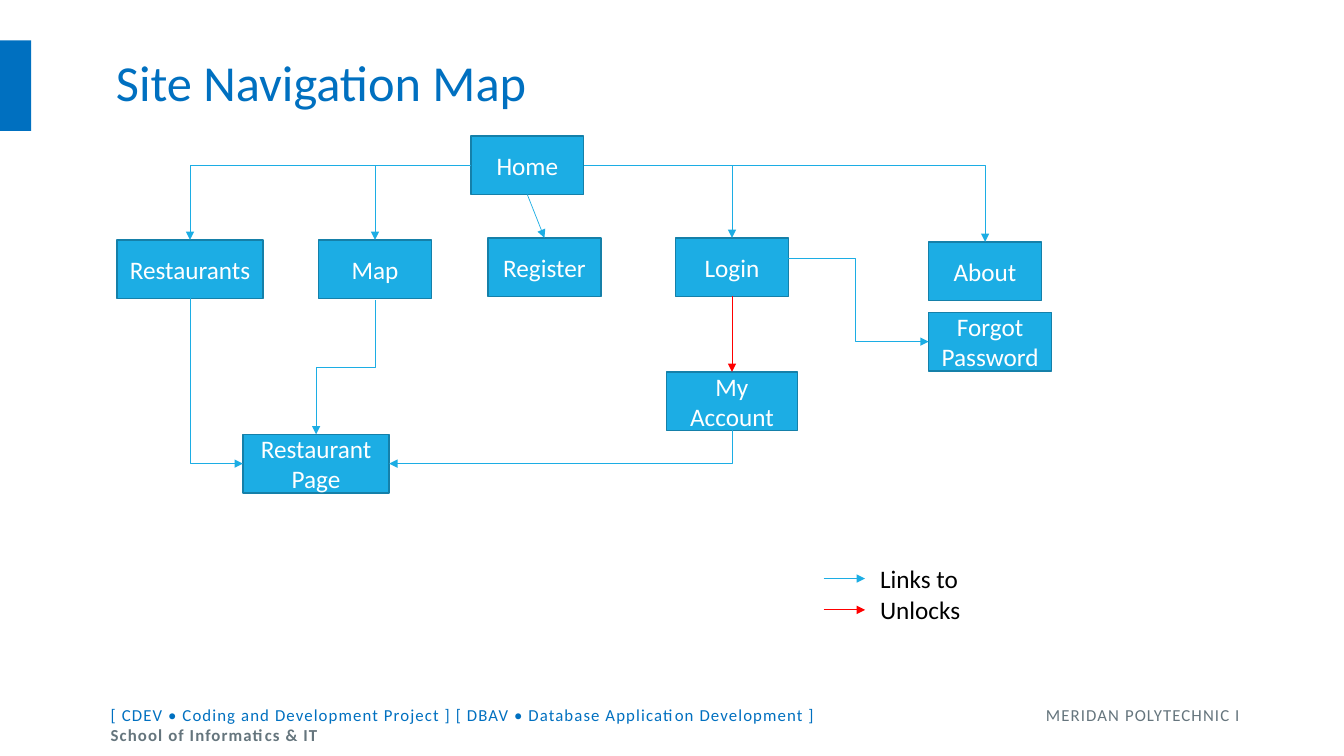
from dataclasses import dataclass

from pptx import Presentation
from pptx.dml.color import RGBColor
from pptx.enum.shapes import MSO_CONNECTOR, MSO_SHAPE
from pptx.enum.text import MSO_ANCHOR, MSO_AUTO_SIZE, PP_ALIGN
from pptx.oxml.ns import qn
from pptx.util import Emu, Pt
from lxml.etree import SubElement

TITLE = "Site Navigation Map"
FOOTER = [
    [("[ CDEV • Coding and Development Project ] [ DBAV • Database Application Development ]", "blue", False),
     ("\tMERIDAN POLYTECHNIC I", "grey", False)],
    [("School of Informatics & IT", "grey", True)],
]
BOX_H = 58
PAGES = {  # name: (label, left, top, width)
    "home": ("Home", 467, 135, 112),
    "restaurants": ("Restaurants", 116, 238, 145),
    "login": ("Login", 670, 236, 112),
    "register": ("Register", 484, 236, 112),
    "account": ("My Account", 661, 369, 130),
    "restaurant": ("Restaurant\vPage", 241, 431, 145),
    "forgot": ("Forgot Password", 921, 310, 122),
    "map": ("Map", 316, 238, 112),
    "about": ("About", 921, 240, 112),
}
LINKS = [  # from, side, to, side, route, colour, shift of the start
    ("login", "bottom", "account", "top", "line", "red", (0, 0)),
    ("home", "left", "restaurants", "top", "bentConnector2", "cyan", (0, 0)),
    ("home", "left", "map", "top", "bentConnector2", "cyan", (0, 0)),
    ("home", "bottom", "register", "top", "line", "cyan", (0, 0)),
    ("home", "right", "login", "top", "bentConnector2", "cyan", (0, 0)),
    ("home", "right", "about", "top", "bentConnector2", "cyan", (0, 0)),
    ("login", "right", "forgot", "left", "bentConnector3", "cyan", (-6, -9)),
    ("restaurants", "bottom", "restaurant", "left", "bentConnector2", "cyan", (0, 0)),
    ("map", "bottom", "restaurant", "top", "bentConnector3", "cyan", (0, 2)),
    ("account", "bottom", "restaurant", "right", "bentConnector2", "cyan", (0, 0)),
]
LEGEND = [("Links to", "cyan"), ("Unlocks", "red")]
LEGEND_TOP, LEGEND_STEP = 554, 31


@dataclass(frozen=True)
class Theme:
    font: str = "Calibri"
    blue: str = "0070C0"
    cyan: str = "1CADE4"
    edge: str = "1580A9"
    red: str = "FF0000"
    grey: str = "65757D"
    white: str = "FFFFFF"
    black: str = "000000"
    title_pt: int = 36
    body_pt: int = 18
    footer_pt: int = 12

    def rgb(self, name):
        return RGBColor.from_string(getattr(self, name))


THEME = Theme()


def px(n):
    """Lengths are on a grid of 100 px to the inch."""
    return Emu(round(n * 9144))


def style(r, size, color, bold=False):
    r.font.name, r.font.size, r.font.bold = THEME.font, Pt(size), bold
    r.font.color.rgb = THEME.rgb(color)


def add_rect(slide, left, top, width, height, fill, line=None):
    sp = slide.shapes.add_shape(MSO_SHAPE.RECTANGLE, *map(px, (left, top, width, height)))
    sp.shadow.inherit = False
    sp.fill.solid()
    sp.fill.fore_color.rgb = THEME.rgb(fill)
    if line:
        sp.line.color.rgb, sp.line.width = THEME.rgb(line), Pt(1)
    else:
        sp.line.fill.background()
    return sp


def add_page(slide, label, left, top, width):
    tf = add_rect(slide, left, top, width, BOX_H, "cyan", "edge").text_frame
    tf.text, tf.word_wrap, tf.vertical_anchor = label, True, MSO_ANCHOR.MIDDLE
    p = tf.paragraphs[0]
    p.alignment = PP_ALIGN.CENTER
    for r in p.runs:
        style(r, THEME.body_pt, "white")


def side_point(page, side):
    _, left, top, width = PAGES[page]
    return {
        "left": (left, top + BOX_H / 2),
        "right": (left + width, top + BOX_H / 2),
        "top": (left + width / 2, top),
        "bottom": (left + width / 2, top + BOX_H),
    }[side]


def add_arrow(slide, start, end, color, route="line", down_first=False):
    """Elbows leave sideways; down_first turns the frame so that they leave downwards."""
    (x1, y1), (x2, y2) = start, end
    rotation = 0
    if down_first and route != "line":
        cx, cy = (x1 + x2) / 2, (y1 + y2) / 2
        half_w, half_h = (y2 - y1) / 2, abs(x2 - x1) / 2
        rotation = 270 if x2 > x1 else 90
        if rotation == 270:
            half_w = -half_w
        x1, x2, y1, y2 = cx - half_w, cx + half_w, cy - half_h, cy + half_h
    kind = MSO_CONNECTOR.STRAIGHT if route == "line" else MSO_CONNECTOR.ELBOW
    c = slide.shapes.add_connector(kind, *map(px, (x1, y1, x2, y2)))
    c.line.color.rgb, c.line.width = THEME.rgb(color), Pt(0.5)
    sp_pr = c._element.spPr
    sp_pr.find(qn("a:prstGeom")).set("prst", route)
    if rotation:
        sp_pr.find(qn("a:xfrm")).set("rot", str(rotation * 60000))
    SubElement(sp_pr.find(qn("a:ln")), qn("a:tailEnd"), type="triangle")
    SubElement(sp_pr, qn("a:effectLst"))


def add_footer(slide):
    tf = slide.shapes.add_textbox(*map(px, (100, 694, 1163, 50))).text_frame
    tf.word_wrap = True
    for i, line in enumerate(FOOTER):
        p = tf.paragraphs[0] if i == 0 else tf.add_paragraph()
        tabs = SubElement(p._p.get_or_add_pPr(), qn("a:tabLst"))
        SubElement(tabs, qn("a:tab"), pos=str(px(1120)), algn="r")
        for text, color, bold in line:
            r = p.add_run()
            r.text = text
            style(r, THEME.footer_pt, color, bold)
            r._r.get_or_add_rPr().set("spc", "80")


def add_title(slide):
    title = slide.shapes.title
    title.left, title.top, title.width, title.height = map(px, (105, 40, 1130, 90))
    tf = title.text_frame
    tf.text, tf.vertical_anchor, tf.auto_size = TITLE, MSO_ANCHOR.MIDDLE, MSO_AUTO_SIZE.NONE
    p = tf.paragraphs[0]
    p.alignment, p.line_spacing = PP_ALIGN.LEFT, 0.9
    style(p.runs[0], THEME.title_pt, "blue")


def add_legend(slide):
    for i, (label, color) in enumerate(LEGEND):
        top = LEGEND_TOP + i * LEGEND_STEP
        add_arrow(slide, (817, top + 20), (858, top + 20), color)
        tf = slide.shapes.add_textbox(*map(px, (863, top, 100, 40))).text_frame
        tf.text, tf.word_wrap = label, False
        style(tf.paragraphs[0].runs[0], THEME.body_pt, "black")


def main():
    prs = Presentation()
    prs.slide_width, prs.slide_height = px(1333), px(750)
    slide = prs.slides.add_slide(prs.slide_layouts[5])
    add_footer(slide)
    add_rect(slide, 0, 40, 31, 90, "blue")
    add_title(slide)
    for page in PAGES.values():
        add_page(slide, *page)
    for source, out_side, target, in_side, route, color, (dx, dy) in LINKS:
        x, y = side_point(source, out_side)
        add_arrow(slide, (x + dx, y + dy), side_point(target, in_side), color, route, out_side == "bottom")
    add_legend(slide)
    prs.save("out.pptx")


if __name__ == "__main__":
    main()
